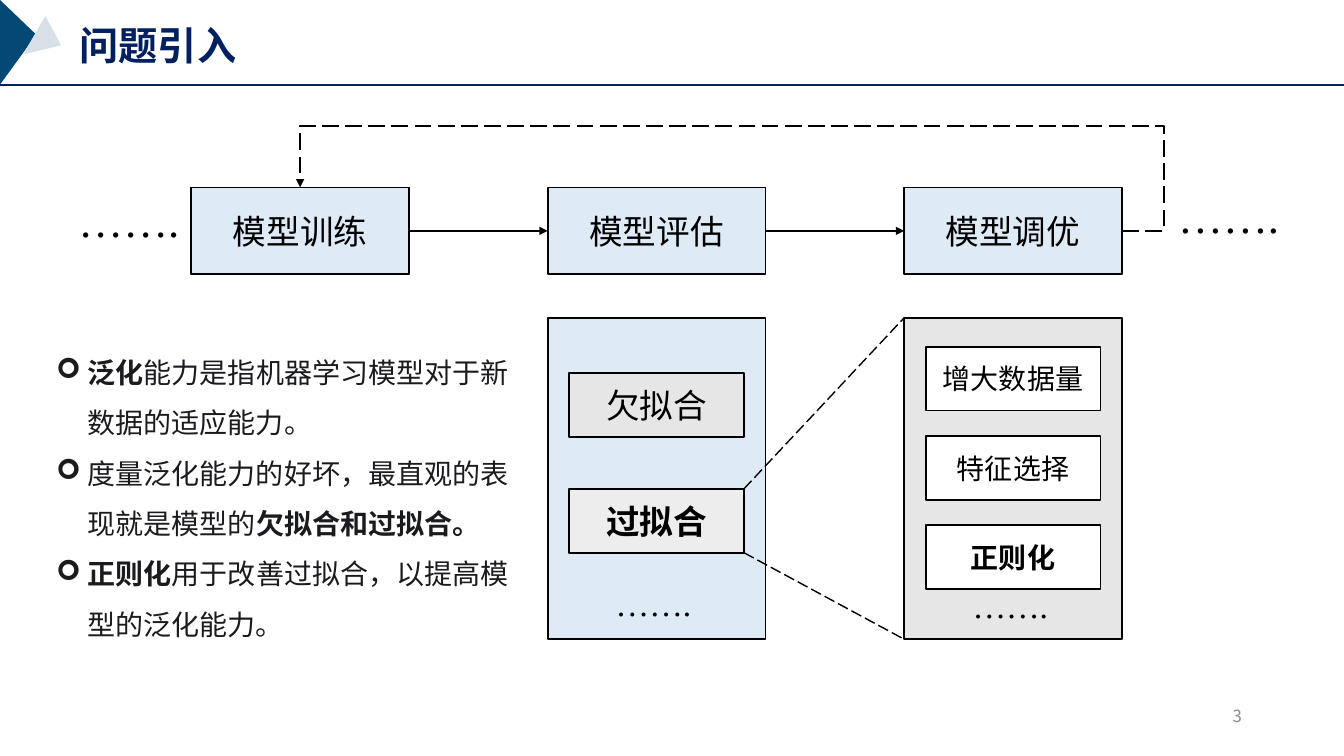
from dataclasses import dataclass

from lxml.etree import SubElement
from pptx import Presentation
from pptx.dml.color import RGBColor
from pptx.enum.dml import MSO_LINE
from pptx.enum.shapes import MSO_CONNECTOR as Link, MSO_SHAPE as Shape
from pptx.enum.text import MSO_ANCHOR as Anchor, MSO_AUTO_SIZE as Fit, PP_ALIGN as Align
from pptx.oxml.ns import qn
from pptx.util import Pt

COLORS = {
    "navy": "002060", "teal": "044875", "mist": "D6E0E6", "sky": "DEEBF7",
    "gray": "E7E6E6", "pale": "EDEDED", "white": "FFFFFF", "black": "000000",
    "ink": "191B1F", "number": "898989",
}
SANS, SERIF = "Noto Sans CJK SC", "Times New Roman"
BOX_FORMAT = {"word_wrap": True, "vertical_anchor": Anchor.MIDDLE}
NOTE_FORMAT = {"word_wrap": True, "vertical_anchor": Anchor.TOP, "auto_size": Fit.NONE}

COLUMN_LEFT, COLUMN_STEP, COLUMN_WIDTH = 136.6, 254.6, 155.6
STAGE_TOP, STAGE_HEIGHT = 133.9, 62
PANEL_TOP, PANEL_HEIGHT = 227, 229.6
ITEM_WIDTH, ITEM_HEIGHT = 124.8, 45.6
RULE_Y = 60.5
SLIDE_WIDTH, SLIDE_HEIGHT = 960, 540


@dataclass
class Box:
    left: float
    top: float
    width: float
    height: float
    fill: str
    text: str = ""
    size: float = 24
    bold: bool = False


@dataclass
class Corner:
    left: float
    top: float
    width: float
    height: float
    rotation: float
    apex: float
    fill: str


@dataclass
class Note:
    left: float
    top: float
    width: float
    height: float
    text: str
    size: float
    font: str = SERIF
    color: str = "black"
    align: Align = Align.LEFT


@dataclass
class Arrow:
    start: tuple[float, float]
    end: tuple[float, float]
    width: float = 1.5
    color: str = "black"
    dashed: bool = False
    headed: bool = False
    kind: Link = Link.STRAIGHT


def rgb(name: str) -> RGBColor:
    """Return the named colour."""
    return RGBColor.from_string(COLORS[name])


def apply(target, values: dict) -> None:
    """Set every attribute in values on target."""
    for key, value in values.items():
        setattr(target, key, value)


def add_run(paragraph, text: str, size: float, color: str = "black",
            bold: bool = False, font: str = SANS) -> None:
    """Append a run with the same Latin and East Asian font."""
    run = paragraph.add_run()
    run.text = text
    apply(run.font, {"size": Pt(size), "bold": bold, "name": font})
    run.font.color.rgb = rgb(color)
    SubElement(run.font._element, qn("a:ea"), typeface=font)


def draw_box(slide, box: Box) -> None:
    """Draw an outlined rectangle with an optional centred label."""
    shape = slide.shapes.add_shape(
        Shape.RECTANGLE, *map(Pt, (box.left, box.top, box.width, box.height)))
    shape.shadow.inherit = False
    shape.fill.solid()
    shape.fill.fore_color.rgb = rgb(box.fill)
    shape.line.color.rgb = rgb("black")
    shape.line.width = Pt(1.25)
    apply(shape.text_frame, BOX_FORMAT)
    if box.text:
        paragraph = shape.text_frame.paragraphs[0]
        paragraph.alignment = Align.CENTER
        add_run(paragraph, box.text, box.size, bold=box.bold)


def draw_corner(slide, corner: Corner) -> None:
    """Draw a rotated triangle of the header ornament."""
    shape = slide.shapes.add_shape(
        Shape.ISOSCELES_TRIANGLE,
        *map(Pt, (corner.left, corner.top, corner.width, corner.height)))
    shape.shadow.inherit = False
    shape.adjustments[0] = corner.apex
    shape.rotation = corner.rotation
    shape.fill.solid()
    shape.fill.fore_color.rgb = rgb(corner.fill)
    shape.line.fill.background()


def draw_note(slide, note: Note) -> None:
    """Draw a one-line text box."""
    frame = slide.shapes.add_textbox(
        *map(Pt, (note.left, note.top, note.width, note.height))).text_frame
    apply(frame, NOTE_FORMAT)
    frame.paragraphs[0].alignment = note.align
    add_run(frame.paragraphs[0], note.text, note.size, note.color, font=note.font)


def draw_arrow(slide, arrow: Arrow):
    """Draw a connector and return it."""
    connector = slide.shapes.add_connector(
        arrow.kind, *map(Pt, (*arrow.start, *arrow.end)))
    connector.line.color.rgb = rgb(arrow.color)
    connector.line.width = Pt(arrow.width)
    if arrow.dashed:
        connector.line.dash_style = MSO_LINE.LONG_DASH
    if arrow.headed:
        SubElement(connector.line._get_or_add_ln(), qn("a:tailEnd"), type="triangle")
    SubElement(connector._element.spPr, qn("a:effectLst"))
    return connector


def draw_feedback(slide, arrow: Arrow, right: float, top: float) -> None:
    """Draw an elbow running by way of the given right and top edges."""
    geometry = draw_arrow(slide, arrow)._element.spPr.find(qn("a:prstGeom"))
    geometry.set("prst", "bentConnector4")
    guides = geometry.find(qn("a:avLst"))
    (x1, y1), (x2, y2) = arrow.start, arrow.end
    ratios = ((right - x1) / (x2 - x1), (top - y1) / (y2 - y1))
    for number, ratio in enumerate(ratios, 1):
        SubElement(guides, qn("a:gd"), name=f"adj{number}", fmla=f"val {round(ratio * 100000)}")


def draw_explanation(slide, points: list[list[tuple[str, bool]]]) -> None:
    """Draw the bulleted explanation with its bold key words."""
    frame = slide.shapes.add_textbox(*map(Pt, (33.1, 238.3, 340.6, 221))).text_frame
    apply(frame, NOTE_FORMAT)
    for index, point in enumerate(points):
        paragraph = frame.add_paragraph() if index else frame.paragraphs[0]
        paragraph.line_spacing = 1.5
        properties = paragraph._p.get_or_add_pPr()
        apply(properties, {})
        properties.set("marL", str(Pt(22.5)))
        properties.set("indent", str(-Pt(22.5)))
        SubElement(properties, qn("a:buFont"), typeface="Wingdings")
        SubElement(properties, qn("a:buChar"), char="➢")
        for text, bold in point:
            add_run(paragraph, text, 20, "ink", bold)


def write_title(slide, text: str) -> None:
    """Place and fill the title."""
    title = slide.shapes.title
    apply(title, dict(zip(("left", "top", "width", "height"), map(Pt, (49.7, 11.5, 431.3, 41)))))
    apply(title.text_frame, NOTE_FORMAT)
    title.text_frame.paragraphs[0].alignment = Align.LEFT
    add_run(title.text_frame.paragraphs[0], text, 28, "navy", True)


def main() -> None:
    """Build and save the slide."""
    deck = Presentation()
    apply(deck, {"slide_width": Pt(SLIDE_WIDTH), "slide_height": Pt(SLIDE_HEIGHT)})
    slide = deck.slides.add_slide(deck.slide_layouts[5])
    train, assess, tune = (COLUMN_LEFT + COLUMN_STEP * i for i in range(3))
    inset = (COLUMN_WIDTH - ITEM_WIDTH) / 2
    middle = STAGE_TOP + STAGE_HEIGHT / 2
    overfit_top = 349.2

    for corner in (Corner(-17.3, 17.3, 60.5, 25.9, 90, 0.41, "teal"),
                   Corner(17.3, 20.2, 31.7, 20.2, 120.2, 0.39, "mist")):
        draw_corner(slide, corner)
    draw_arrow(slide, Arrow((0, RULE_Y), (SLIDE_WIDTH, RULE_Y), color="navy"))
    write_title(slide, "问题引入")

    boxes = [Box(left, PANEL_TOP, COLUMN_WIDTH, PANEL_HEIGHT, fill)
             for left, fill in ((assess, "sky"), (tune, "gray"))]
    boxes += [Box(left, STAGE_TOP, COLUMN_WIDTH, STAGE_HEIGHT, "sky", text)
              for left, text in ((train, "模型训练"), (assess, "模型评估"), (tune, "模型调优"))]
    boxes += [Box(assess + inset, top, ITEM_WIDTH, ITEM_HEIGHT, fill, text, bold=bold)
              for top, fill, text, bold in ((266.4, "gray", "欠拟合", False),
                                            (overfit_top, "pale", "过拟合", True))]
    boxes += [Box(tune + inset, 247.6 + 63.8 * i, ITEM_WIDTH, ITEM_HEIGHT, "white",
                  text, 20, text == "正则化")
              for i, text in enumerate(("增大数据量", "特征选择", "正则化"))]
    for box in boxes:
        draw_box(slide, box)

    for note in (Note(687.6, 414, 72.7, 36, "…….", 24), Note(432.7, 412.6, 72.7, 36, "…….", 24),
                 Note(49, 133.9, 110.2, 46, "…….", 32), Note(834.5, 131, 94.3, 46, "…….", 32),
                 Note(856.8, 500.4, 37.4, 28.8, "3", 12, SANS, "number", Align.RIGHT)):
        draw_note(slide, note)

    item_right = assess + inset + ITEM_WIDTH
    for arrow in (
            Arrow((train + COLUMN_WIDTH, middle), (assess, middle), headed=True),
            Arrow((assess + COLUMN_WIDTH, middle), (tune, middle), headed=True),
            Arrow((item_right, overfit_top), (tune, PANEL_TOP), 1, dashed=True),
            Arrow((item_right, overfit_top + ITEM_HEIGHT), (tune, PANEL_TOP + PANEL_HEIGHT),
                  1, dashed=True)):
        draw_arrow(slide, arrow)
    draw_feedback(slide, Arrow((tune + COLUMN_WIDTH, middle), (train + COLUMN_WIDTH / 2, STAGE_TOP),
                               dashed=True, headed=True, kind=Link.ELBOW), 831.4, 90)

    draw_explanation(slide, [
        [("泛化", True), ("能力是指机器学习模型对于新数据的适应能力。", False)],
        [("度量泛化能力的好坏，最直观的表现就是模型的", False), ("欠拟合和过拟合。", True)],
        [("正则化", True), ("用于改善过拟合，以提高模型的泛化能力。", False)],
    ])
    deck.save("out.pptx")


if __name__ == "__main__":
    main()
